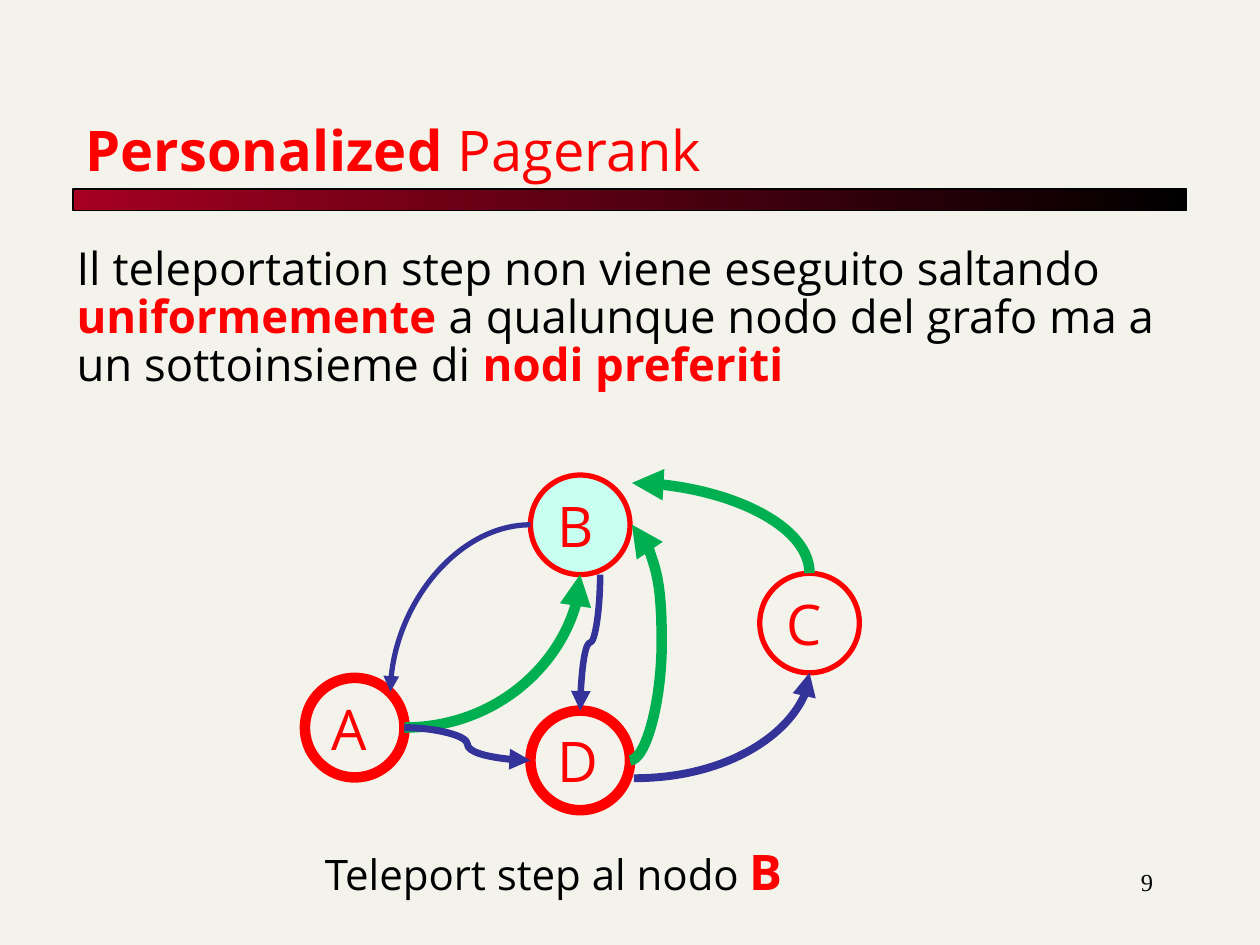
from dataclasses import dataclass

from lxml.etree import SubElement
from pptx import Presentation
from pptx.dml.color import RGBColor
from pptx.enum.shapes import MSO_CONNECTOR, MSO_SHAPE
from pptx.enum.text import MSO_ANCHOR, PP_ALIGN
from pptx.oxml.ns import qn
from pptx.util import Inches, Pt

COLUMNS = 100
SLIDE_WIDTH, SLIDE_HEIGHT = Inches(10), Inches(7.5)
CELL = SLIDE_WIDTH / COLUMNS


@dataclass(frozen=True)
class Theme:
    paper: str = "F4F3EB"
    ink: str = "000000"
    accent: str = "FF0000"
    wine: str = "A50021"
    mint: str = "C7FFF0"
    green: str = "00B050"
    blue: str = "333399"
    font: str = "Open Sans"
    number_font: str = "Times New Roman"
    heading: int = 32
    body: int = 26
    caption: int = 24
    caption_strong: int = 28
    number: int = 14


THEME = Theme()


@dataclass(frozen=True)
class Box:
    left: float
    top: float
    width: float
    height: float

    def emu(self):
        return [round(v * CELL) for v in (self.left, self.top, self.width, self.height)]

    def point(self, across, down):
        return self.left + across * self.width, self.top + down * self.height

    def inner(self, left, top, width, height):
        return Box(self.left + left, self.top + top, width, height)


def rgb(color):
    return RGBColor.from_string(color)


def write_runs(paragraph, pieces, font=THEME.font):
    for words, size, color, bold in pieces:
        run = paragraph.add_run()
        run.text = words
        run.font.name = font
        run.font.size = Pt(size)
        run.font.bold = bold
        run.font.color.rgb = rgb(color)


def add_text(slide, box, pieces, font=THEME.font):
    frame = slide.shapes.add_textbox(*box.emu()).text_frame
    frame.word_wrap = True
    write_runs(frame.paragraphs[0], pieces, font)
    return frame


def add_heading(slide, box):
    title = slide.shapes.title
    title.left, title.top, title.width, title.height = box.emu()
    frame = title.text_frame
    frame.vertical_anchor = MSO_ANCHOR.BOTTOM
    frame.paragraphs[0].alignment = PP_ALIGN.LEFT
    write_runs(frame.paragraphs[0], [
        ("Personalized ", THEME.heading, THEME.accent, True),
        ("Pagerank", THEME.heading, THEME.accent, False),
    ])


def add_rule(slide, box):
    rule = slide.shapes.add_shape(MSO_SHAPE.RECTANGLE, *box.emu())
    rule.shadow.inherit = False
    rule.fill.gradient()
    rule.fill.gradient_angle = 0
    for stop, position, color in zip(rule.fill.gradient_stops, (0, 1), (THEME.wine, THEME.ink)):
        stop.position = position
        stop.color.rgb = rgb(color)
    rule.line.color.rgb = rgb(THEME.ink)
    rule.line.width = Pt(0.75)


def add_statement(slide, box):
    frame = add_text(slide, box, [
        ("Il teleportation step non viene eseguito saltando ", THEME.body, THEME.ink, False),
        ("uniformemente", THEME.body, THEME.accent, True),
        (" a qualunque nodo del grafo ma a un sottoinsieme di ", THEME.body, THEME.ink, False),
        ("nodi preferiti", THEME.body, THEME.accent, True),
    ])
    frame.paragraphs[0].line_spacing = 0.88


def add_node(slide, box, letter, outline, fill):
    node = slide.shapes.add_shape(MSO_SHAPE.OVAL, *box.emu())
    node.shadow.inherit = False
    if fill:
        node.fill.solid()
        node.fill.fore_color.rgb = rgb(fill)
    else:
        node.fill.background()
    node.line.color.rgb = rgb(THEME.accent)
    node.line.width = Pt(outline)
    frame = node.text_frame
    frame.word_wrap = False
    frame.vertical_anchor = MSO_ANCHOR.MIDDLE
    frame.paragraphs[0].alignment = PP_ALIGN.LEFT
    write_runs(frame.paragraphs[0], [(letter, THEME.heading, THEME.accent, False)])


def add_curve(slide, start, end, color, weight, vertical=False, bend=None):
    (x1, y1), (x2, y2) = start, end
    turn = 0
    if vertical:
        dx, dy = x2 - x1, y2 - y1
        mid_x, mid_y = (x1 + x2) / 2, (y1 + y2) / 2
        turn = 90 if dy > 0 else 270
        along, across = (dy, -dx) if dy > 0 else (-dy, dx)
        x1, x2 = mid_x - along / 2, mid_x + along / 2
        y1, y2 = mid_y - across / 2, mid_y + across / 2
    curve = slide.shapes.add_connector(
        MSO_CONNECTOR.CURVE, *[round(v * CELL) for v in (x1, y1, x2, y2)])
    curve.line.color.rgb = rgb(color)
    curve.line.width = Pt(weight)
    properties = curve._element.spPr
    if turn:
        properties.find(qn("a:xfrm")).set("rot", str(turn * 60000))
    geometry = properties.find(qn("a:prstGeom"))
    if bend is None:
        geometry.set("prst", "curvedConnector2")
    else:
        SubElement(geometry.find(qn("a:avLst")), qn("a:gd"),
                   name="adj1", fmla=f"val {round(bend * 100000)}")
    SubElement(properties.find(qn("a:ln")), qn("a:tailEnd"), type="triangle")
    SubElement(properties, qn("a:effectLst"))


def add_graph(slide, box):
    diameter = 7.9
    nodes = {
        "A": (0, 16.1, 6, None),
        "B": (17.9, 0, 3, THEME.mint),
        "D": (17.9, 18.7, 6, None),
        "C": (36.1, 7.8, 3, None),
    }
    spots = {}
    for letter, (left, top, outline, fill) in nodes.items():
        spots[letter] = box.inner(left, top, diameter, diameter)
        add_node(slide, spots[letter], letter, outline, fill)

    edges = [
        ("A", (1, 0.5), "B", (0.5, 1), THEME.green, 6, False, None),
        ("A", (1, 0.5), "D", (0, 0.5), THEME.blue, 4, False, 0.5),
        ("D", (1, 0.5), "B", (1.02, 0.5), THEME.green, 6, False, 16),
        ("B", (0.7, 1), "D", (0.5, 0), THEME.blue, 3.75, True, 0.5),
        ("C", (0.5, 0), "B", (1.02, 0.08), THEME.green, 6, True, None),
        ("B", (0, 0.5), "A", (0.86, 0.14), THEME.blue, 3, False, None),
        ("D", (1.04, 0.68), "C", (0.5, 1), THEME.blue, 4.5, False, None),
    ]
    for source, leave, target, arrive, color, weight, vertical, bend in edges:
        add_curve(slide, spots[source].point(*leave), spots[target].point(*arrive),
                  color, weight, vertical, bend)


def add_caption(slide, box):
    add_text(slide, box, [
        ("Teleport step al nodo ", THEME.caption, THEME.ink, False),
        ("B", THEME.caption_strong, THEME.accent, True),
    ])


def add_page_number(slide, box):
    frame = add_text(slide, box, [("9", THEME.number, THEME.ink, False)], THEME.number_font)
    frame.paragraphs[0].alignment = PP_ALIGN.RIGHT


def main():
    deck = Presentation()
    deck.slide_width, deck.slide_height = SLIDE_WIDTH, SLIDE_HEIGHT
    slide = deck.slides.add_slide(deck.slide_layouts[5])
    slide.background.fill.solid()
    slide.background.fill.fore_color.rgb = rgb(THEME.paper)

    add_rule(slide, Box(5.8, 15, 88.4, 1.7))
    add_heading(slide, Box(5.8, 4.2, 88.3, 10.8))
    add_statement(slide, Box(5.1, 19.1, 89, 18.3))
    add_graph(slide, Box(24.2, 37.7, 44, 26.6))
    add_caption(slide, Box(24.8, 66.3, 69.4, 8.7))
    add_page_number(slide, Box(71.7, 68.3, 20.8, 5))
    deck.save("out.pptx")


if __name__ == "__main__":
    main()
